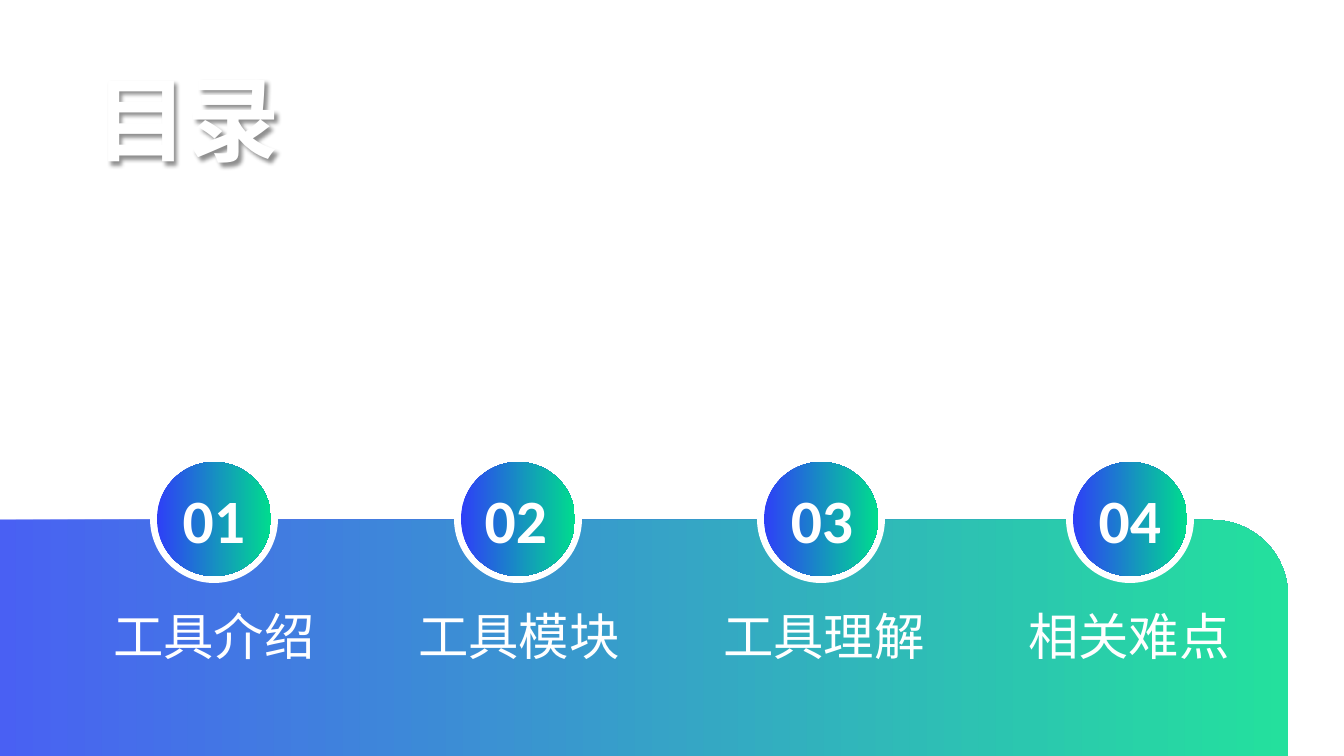
from lxml import etree
from pptx import Presentation, util as u
from pptx.dml.color import RGBColor
from pptx.enum import shapes, text
from pptx.oxml.ns import qn

TITLE = "目录"
# number, label, centre of the disc, centre of the number
SECTIONS = [
    ("01", "工具介绍", 214, 214),
    ("02", "工具模块", 518, 516),
    ("03", "工具理解", 821, 822),
    ("04", "相关难点", 1130, 1130),
]
COLORS = {"white": "FFFFFF", "blue": "2E3FF7", "green": "00DC8E", "black": "000000"}

PX = 914400 / 100.8
BAND = (-70, 520, 1358, 236)
DISC_MIDDLE, RING, DISC = 519, 128, 114
LABEL_LEFT, LABEL_STEP = 102, 305


def px(n):
    return u.Emu(round(n * PX))


def rgb(name):
    return RGBColor.from_string(COLORS[name])


def put_text(sp, words, size, font, bold=False, align="LEFT", wrap=False):
    tf = sp.text_frame
    tf.word_wrap = wrap
    tf.auto_size = text.MSO_AUTO_SIZE.NONE
    tf.vertical_anchor = text.MSO_ANCHOR.TOP
    p = tf.paragraphs[0]
    p.alignment = getattr(text.PP_ALIGN, align)
    p.line_spacing = 1.0
    r = p.add_run()
    r.text = words
    r.font.size, r.font.bold, r.font.name = u.Pt(size), bold, font
    r.font.color.rgb = rgb("white")
    latin = r.font._element.find(qn("a:latin"))
    latin.addnext(etree.Element(qn("a:ea"), typeface=font))


def add_text_shadow(sp):
    """Shadow an unfilled shape, so that its text casts the shadow."""
    sp.fill.background()
    sp.shadow.inherit = False
    effects = sp._element.spPr.find(qn("a:effectLst"))
    shadow = etree.SubElement(effects, qn("a:outerShdw"), blurRad="38100",
                              dist="38100", dir="2700000", algn="tl", rotWithShape="0")
    color = etree.SubElement(shadow, qn("a:srgbClr"), val=COLORS["black"])
    etree.SubElement(color, qn("a:alpha"), val="43000")


def add_filled(s, kind, box, color=None, opacity=100):
    """Add a shape without outline; with no colour it gets the blue-green gradient."""
    sp = s.shapes.add_shape(kind, *map(px, box))
    sp.shadow.inherit = False
    sp.line.fill.background()
    if color:
        sp.fill.solid()
        sp.fill.fore_color.rgb = rgb(color)
        return sp
    sp.fill.gradient()
    sp.fill.gradient_angle = 0
    for stop, name, position in zip(sp.fill.gradient_stops, ("blue", "green"), (0, 1)):
        stop.color.rgb = rgb(name)
        stop.position = position
    if opacity < 100:
        for clr in sp._element.spPr.iter(qn("a:srgbClr")):
            etree.SubElement(clr, qn("a:alpha"), val=str(opacity * 1000))
    return sp


def add_disc(s, centre, size, color=None):
    box = (centre - size / 2, DISC_MIDDLE - size / 2, size, size)
    add_filled(s, shapes.MSO_SHAPE.OVAL, box, color)


def main():
    prs = Presentation()
    prs.slide_width, prs.slide_height = px(1344), px(756)
    s = prs.slides.add_slide(prs.slide_layouts[5])

    title = s.shapes.title
    title.left, title.top, title.width, title.height = map(px, (85, 57, 259, 122))
    put_text(title, TITLE, 66, "Roboto", bold=True, wrap=True)
    add_text_shadow(title)

    band = add_filled(s, shapes.MSO_SHAPE.ROUND_2_DIAG_RECTANGLE, BAND, opacity=85)
    band.adjustments[0], band.adjustments[1] = 0, 0.32

    for i, (number, label, disc_x, number_x) in enumerate(SECTIONS):
        add_disc(s, disc_x, RING, "white")
        add_disc(s, disc_x, DISC)
        sp = s.shapes.add_textbox(*map(px, (number_x - 42, 477, 84, 85)))
        put_text(sp, number, 44, "Calibri", bold=True, align="CENTER")
        sp = s.shapes.add_textbox(*map(px, (LABEL_LEFT + i * LABEL_STEP, 600, 224, 72)))
        put_text(sp, label, 36, "Roboto", align="CENTER")

    prs.save("out.pptx")


if __name__ == "__main__":
    main()
